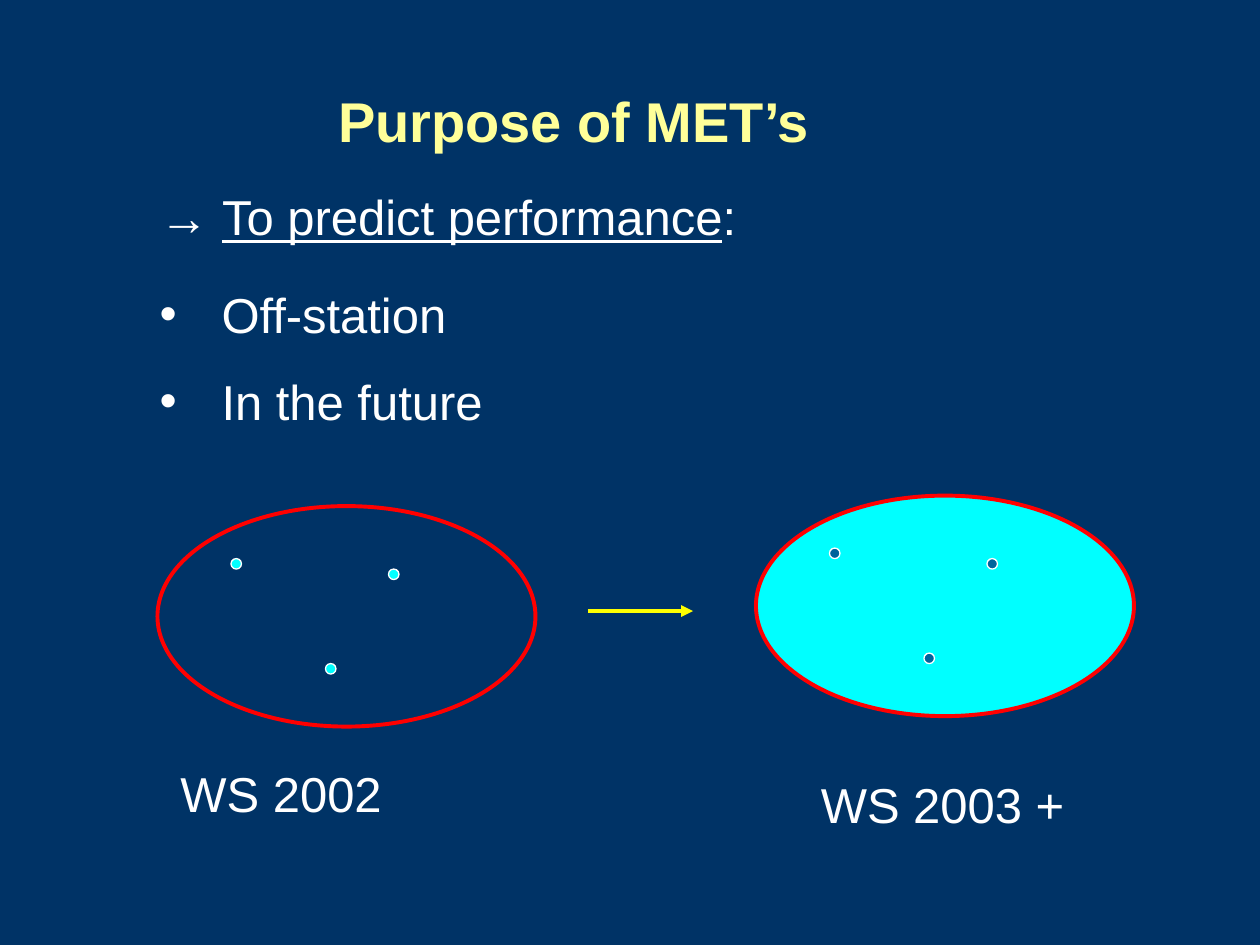
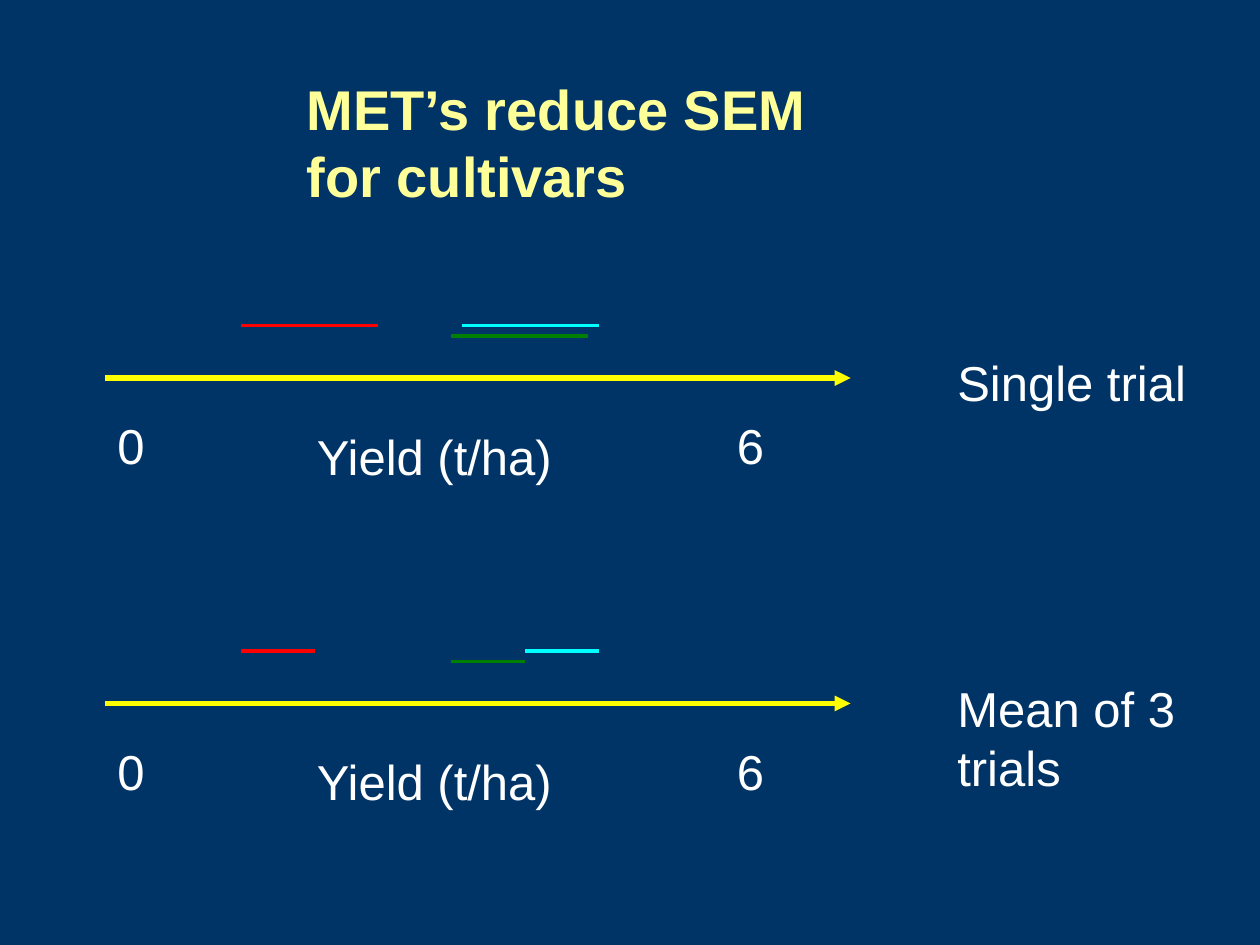
from lxml.etree import SubElement
from pptx import Presentation
from pptx.dml.color import RGBColor
from pptx.enum.shapes import MSO_CONNECTOR as CONNECTOR, MSO_SHAPE as SHAPE
from pptx.enum.text import MSO_ANCHOR as ANCHOR, MSO_AUTO_SIZE as AUTO_SIZE, PP_ALIGN as ALIGN
from pptx.oxml.ns import qn
from pptx.util import Emu, Pt

NAVY = RGBColor(0x00, 0x33, 0x66)
CREAM = RGBColor(0xFF, 0xFF, 0x99)
WHITE = RGBColor(0xFF, 0xFF, 0xFF)
YELLOW = RGBColor(0xFF, 0xFF, 0x00)
RED = RGBColor(0xFF, 0x00, 0x00)
CYAN = RGBColor(0x00, 0xFF, 0xFF)
BLUE = RGBColor(0x00, 0x64, 0x9C)
GREEN = RGBColor(0x00, 0x80, 0x00)

FONT = "Arial"
EMU_PER_PX = 7620  # 120 px to the inch
TITLE_AND_BODY, TITLE_ONLY = 1, 5

# Slide 1
PURPOSE_TITLE = ("Purpose of MET’s", (310, 70, 890, 150))
LEAD = (("→ ", False), ("To predict performance", True), (":", False))
AIMS = (("Off-station", 22), ("In the future", 16))  # text, points before
AIMS_BOX = (140, 172, 620, 240)
REGION_SIZE = (360, 210)
SITE_OFFSETS = ((70, 50), (220, 60), (160, 150))
SITE_SIZE = 10
REGIONS = (  # corner, fill, site fill, label, label place and width
    ((150, 482), None, CYAN, "WS 2002", (160, 721, 430)),
    ((720, 472), CYAN, BLUE, "WS 2003 +", (770, 732, 300)),
)
FORECAST_ARROW = (560, 582, 660)

# Slide 2
SEM_TITLE = ("MET’s reduce SEM\vfor cultivars", (280, 90, 870, 150))
AXIS_LEFT, AXIS_RIGHT = 100, 810
AXIS_LABELS = (  # text, left, distance below the axis, width
    ("0", 100, 30, 100),
    ("Yield (t/ha)", 290, 40, 280),
    ("6", 690, 30, 70),
)
TRIALS = (  # label, axis height, ranges as (left, right)
    ("Single trial", 360, ((230, 360), (430, 560), (440, 570))),
    ("Mean of 3 trials", 670, ((230, 300), (430, 500), (500, 570))),
)
CULTIVARS = ((RED, 50), (GREEN, 40), (CYAN, 50))  # colour, height above the axis


def px(*lengths):
    return [Emu(length * EMU_PER_PX) for length in lengths]


def place(shape, box):
    shape.left, shape.top, shape.width, shape.height = px(*box)


def style(paragraph, size, color, bold=False):
    paragraph.alignment = ALIGN.LEFT
    for run in paragraph.runs:
        run.font.name, run.font.size, run.font.bold = FONT, Pt(size), bold
        run.font.color.rgb = color


def set_bullet(paragraph, bullet=None):
    properties = paragraph._p.get_or_add_pPr()
    indent = px(59)[0] if bullet else 0
    properties.set("marL", str(indent))
    properties.set("indent", str(-indent))
    if bullet:
        SubElement(properties, qn("a:buChar")).set("char", bullet)
    else:
        SubElement(properties, qn("a:buNone"))


def add_titled_slide(deck, layout, title, box):
    slide = deck.slides.add_slide(deck.slide_layouts[layout])
    place(slide.shapes.title, box)
    frame = slide.shapes.title.text_frame
    frame.text = title
    frame.auto_size = AUTO_SIZE.NONE
    frame.vertical_anchor = ANCHOR.MIDDLE
    frame.margin_bottom = px(67)[0]  # one free line below the title
    style(frame.paragraphs[0], 32, CREAM, bold=True)
    return slide


def add_label(slide, text, left, top, width):
    frame = slide.shapes.add_textbox(*px(left, top, width, 68)).text_frame
    frame.word_wrap = True
    frame.auto_size = AUTO_SIZE.SHAPE_TO_FIT_TEXT
    frame.text = text
    style(frame.paragraphs[0], 28, WHITE)


def add_rule(slide, left, right, y, color, weight=2.25, arrow=False):
    rule = slide.shapes.add_connector(CONNECTOR.STRAIGHT, *px(left, y, right, y))
    rule.line.color.rgb = color
    rule.line.width = Pt(weight)
    if arrow:
        SubElement(rule.line._get_or_add_ln(), qn("a:tailEnd")).set("type", "triangle")
    SubElement(rule._element.spPr, qn("a:effectLst"))


def add_ellipse(slide, box, fill, outline, weight):
    ellipse = slide.shapes.add_shape(SHAPE.OVAL, *px(*box))
    ellipse.shadow.inherit = False
    if fill is None:
        ellipse.fill.background()
    else:
        ellipse.fill.solid()
        ellipse.fill.fore_color.rgb = fill
    ellipse.line.color.rgb = outline
    ellipse.line.width = Pt(weight)


def add_aims(slide):
    body = slide.placeholders[1]
    place(body, AIMS_BOX)
    frame = body.text_frame
    frame.auto_size = AUTO_SIZE.NONE
    lead = frame.paragraphs[0]
    lead.space_before = Pt(0)
    for text, underlined in LEAD:
        run = lead.add_run()
        run.text = text
        run.font.underline = underlined
    style(lead, 28, WHITE)
    set_bullet(lead)
    for text, gap in AIMS:
        aim = frame.add_paragraph()
        aim.text = text
        aim.space_before = Pt(gap)
        style(aim, 28, WHITE)
        set_bullet(aim, "•")


def build_purpose(deck):
    slide = add_titled_slide(deck, TITLE_AND_BODY, *PURPOSE_TITLE)
    add_aims(slide)
    left, y, right = FORECAST_ARROW
    add_rule(slide, left, right, y, YELLOW, arrow=True)
    for (x, top), fill, site_fill, label, label_place in REGIONS:
        add_ellipse(slide, (x, top, *REGION_SIZE), fill, RED, 2.25)
        for dx, dy in SITE_OFFSETS:
            site = (x + dx, top + dy, SITE_SIZE, SITE_SIZE)
            add_ellipse(slide, site, site_fill, WHITE, 0.75)
        add_label(slide, label, *label_place)


def build_sem(deck):
    slide = add_titled_slide(deck, TITLE_ONLY, *SEM_TITLE)
    for trial, axis_y, ranges in TRIALS:
        add_rule(slide, AXIS_LEFT, AXIS_RIGHT, axis_y, YELLOW, 3, arrow=True)
        for text, left, drop, width in AXIS_LABELS:
            add_label(slide, text, left, axis_y + drop, width)
        for (color, rise), (left, right) in zip(CULTIVARS, ranges):
            add_rule(slide, left, right, axis_y - rise, color)
        add_label(slide, trial, 900, axis_y - 30, 270)


def main():
    deck = Presentation()
    deck.slide_width, deck.slide_height = px(1200, 900)
    background = deck.slide_master.background.fill
    background.solid()
    background.fore_color.rgb = NAVY
    build_purpose(deck)
    build_sem(deck)
    deck.save("out.pptx")


if __name__ == "__main__":
    main()
